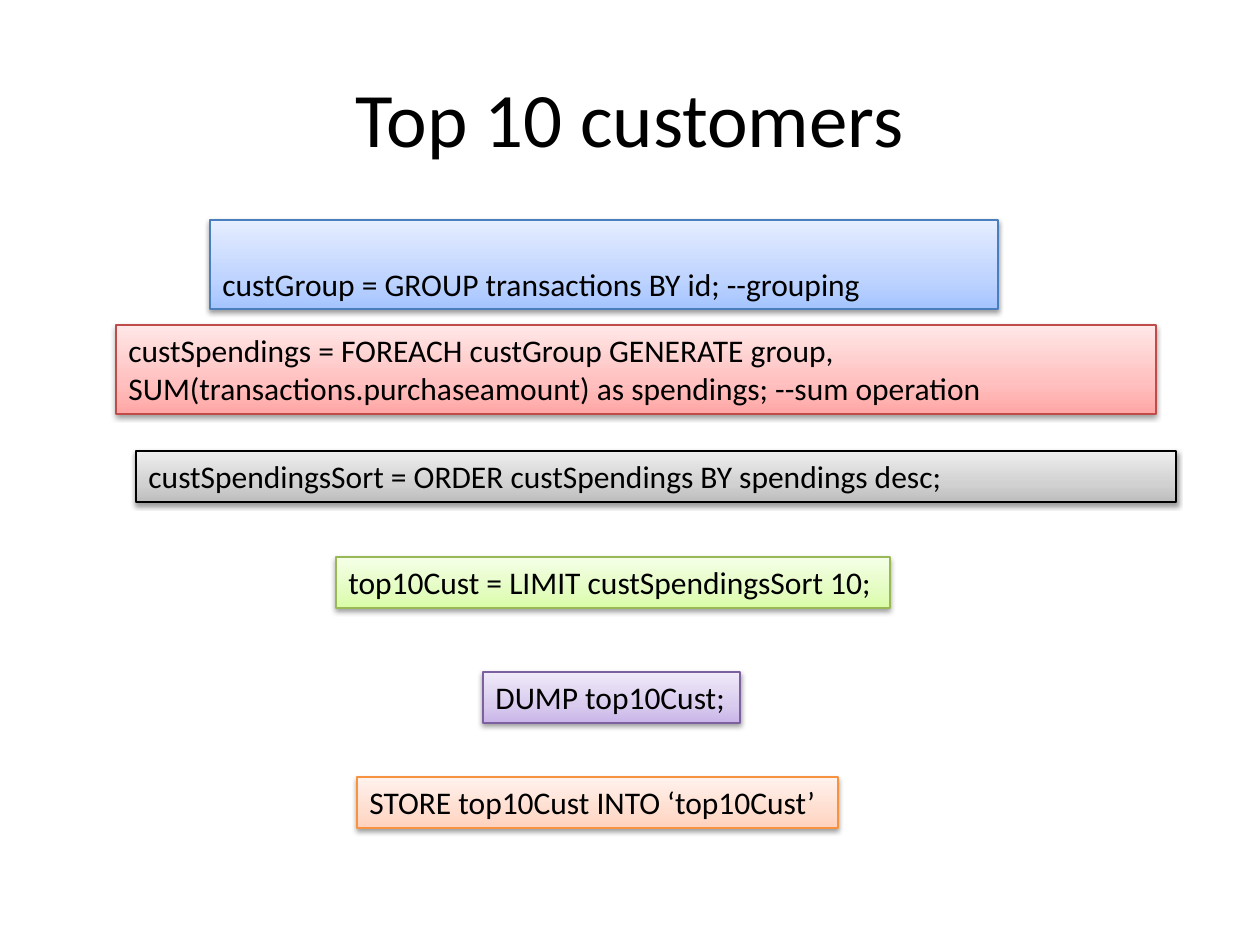
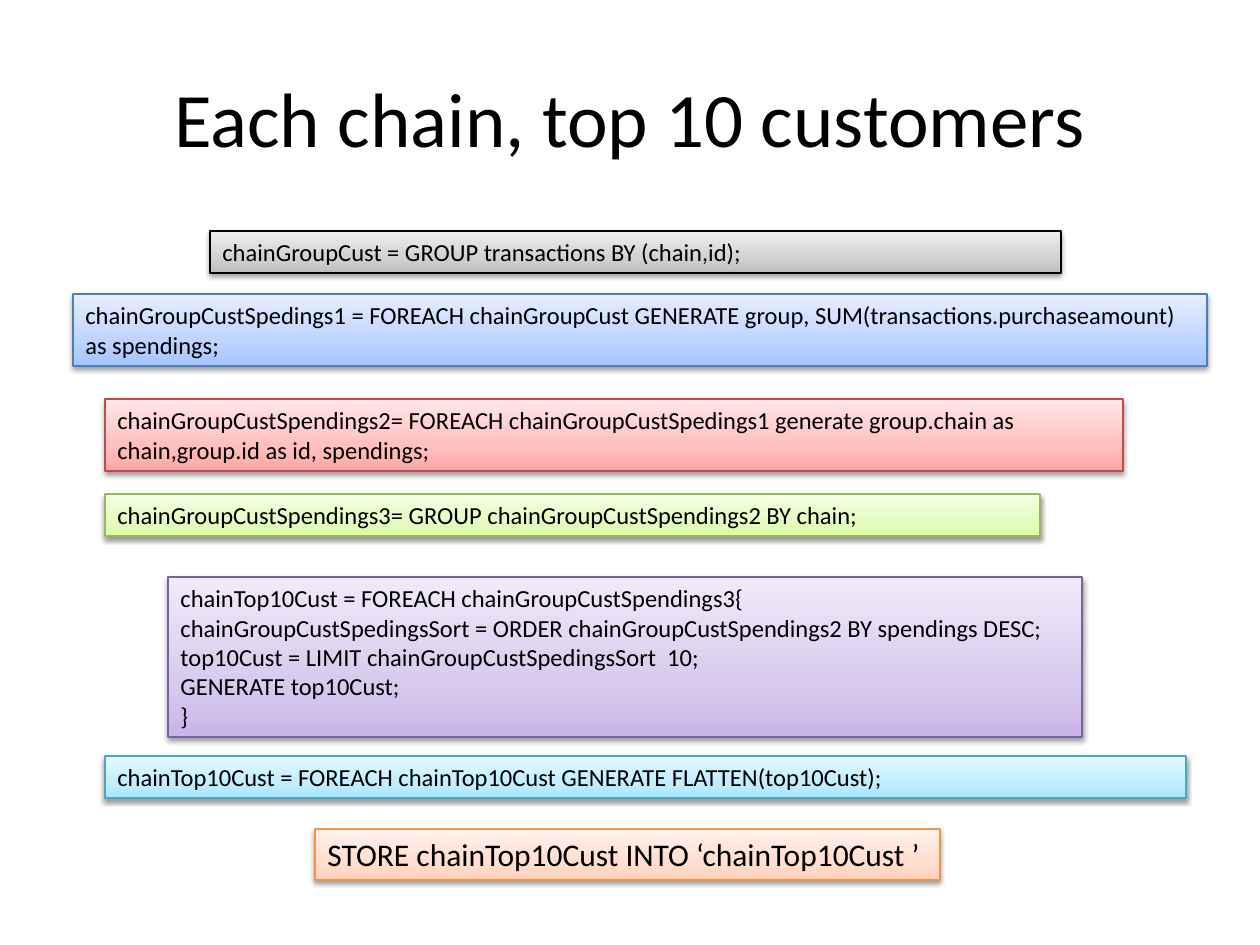
from copy import deepcopy
from typing import NamedTuple

from lxml.etree import SubElement
from pptx import Presentation
from pptx.dml.color import RGBColor
from pptx.enum.shapes import MSO_SHAPE
from pptx.enum.text import MSO_ANCHOR, PP_ALIGN
from pptx.oxml.ns import qn
from pptx.shapes.autoshape import Shape
from pptx.slide import Slide
from pptx.text.text import TextFrame
from pptx.util import Emu, Pt

EMU_PER_INCH = 914400
PX_PER_INCH = 126
SLIDE_WIDTH, SLIDE_HEIGHT = 1260, 945
TITLE_BOX = (63, 38, 1134, 157)
FONT = "Calibri"
TITLE_SIZE = 44
TEXT_MARGINS = 13
LINE_PX_PER_POINT = 2.1
GRADIENT_POSITIONS = (0, 0.35, 1)
COLORS = {
    "text": "000000",
    "blue_line": "4B7EBC",
    "red_line": "BF4C48",
    "gray_line": "000000",
    "green_line": "98B955",
    "purple_line": "7D60A0",
    "cyan_line": "46AAC5",
    "orange_line": "F69240",
    "shadow": "000000",
}
GRADIENTS = {
    "blue": ("A4C4FF", "BFD4FF", "E6EEFF"),
    "red": ("FFA6A5", "FFC0BF", "FFE7E7"),
    "gray": ("BDBDBD", "D1D1D1", "EEEEEE"),
    "green": ("DAFDA7", "E4FCC2", "F5FFE7"),
    "purple": ("C9B5E8", "D8CBEE", "F0EAF9"),
    "cyan": ("A7E6FF", "C1EDFF", "E7F8FF"),
    "orange": ("FFD2BD", "FFDED0", "FFF2ED"),
}


class Statement(NamedTuple):
    hue: str
    left: int
    top: int
    width: int
    code: str
    size: int = 18
    lines: int = 1
    anchor: MSO_ANCHOR = MSO_ANCHOR.TOP


class Query(NamedTuple):
    title: str
    statements: list[Statement]


QUERIES = [
    Query("Top 10 customers", [
        Statement("blue", 210, 220, 788, "custGroup = GROUP transactions BY id; --grouping",
                  lines=2, anchor=MSO_ANCHOR.BOTTOM),
        Statement("red", 116, 325, 1040,
                  "custSpendings = FOREACH custGroup GENERATE group, "
                  "SUM(transactions.purchaseamount) as spendings; --sum operation", lines=2),
        Statement("gray", 136, 451, 1040,
                  "custSpendingsSort = ORDER custSpendings BY spendings desc;"),
        Statement("green", 336, 557, 554, "top10Cust = LIMIT custSpendingsSort 10;"),
        Statement("purple", 483, 672, 257, "DUMP top10Cust;"),
        Statement("orange", 357, 777, 481, "STORE top10Cust INTO ‘top10Cust’"),
    ]),
    Query("Each chain, top 10 customers", [
        Statement("gray", 210, 231, 851,
                  "chainGroupCust = GROUP transactions BY (chain,id);", 14),
        Statement("blue", 73, 294, 1134,
                  "chainGroupCustSpedings1 = FOREACH chainGroupCust GENERATE group, "
                  "SUM(transactions.purchaseamount) as spendings;", 14, 2),
        Statement("red", 105, 399, 1018,
                  "chainGroupCustSpendings2= FOREACH chainGroupCustSpedings1 generate "
                  "group.chain as chain,group.id as id, spendings;", 14, 2),
        Statement("green", 105, 494, 935,
                  "chainGroupCustSpendings3= GROUP chainGroupCustSpendings2 BY chain;", 14),
        Statement("purple", 168, 577, 914,
                  "chainTop10Cust = FOREACH chainGroupCustSpendings3{\n"
                  "chainGroupCustSpedingsSort = ORDER chainGroupCustSpendings2 BY spendings DESC;\n"
                  "top10Cust = LIMIT chainGroupCustSpedingsSort  10;\n"
                  "GENERATE top10Cust;\n"
                  "}", 14, 5),
        Statement("cyan", 105, 756, 1081,
                  "chainTop10Cust = FOREACH chainTop10Cust GENERATE FLATTEN(top10Cust);", 14),
        Statement("orange", 315, 829, 625, "STORE chainTop10Cust INTO ‘chainTop10Cust ’"),
    ]),
]


def px(length: int) -> Emu:
    return Emu(round(length * EMU_PER_INCH / PX_PER_INCH))


def rgb(name: str) -> RGBColor:
    return RGBColor.from_string(COLORS[name])


def write_text(frame: TextFrame, text: str, size: int, align: PP_ALIGN,
               anchor: MSO_ANCHOR) -> None:
    frame.word_wrap = True
    frame.vertical_anchor = anchor
    frame.text = text
    for paragraph in frame.paragraphs:
        paragraph.alignment = align
        paragraph.font.name = FONT
        paragraph.font.size = Pt(size)
        paragraph.font.color.rgb = rgb("text")


def fill_gradient(box: Shape, hue: str) -> None:
    box.fill.gradient()
    box.fill.gradient_angle = 90
    stop_list = next(box._element.spPr.iter(qn("a:gsLst")))
    stop_list.insert(1, deepcopy(stop_list[0]))
    for stop, position, color in zip(box.fill.gradient_stops, GRADIENT_POSITIONS,
                                     GRADIENTS[hue]):
        stop.position = position
        stop.color.rgb = RGBColor.from_string(color)


def cast_shadow(box: Shape) -> None:
    box.shadow.inherit = False
    effects = box._element.spPr.find(qn("a:effectLst"))
    shadow = SubElement(effects, qn("a:outerShdw"), blurRad=str(Pt(3.1)), dist=str(Pt(1.6)),
                        dir="5400000", rotWithShape="0")
    color = SubElement(shadow, qn("a:srgbClr"), val=COLORS["shadow"])
    SubElement(color, qn("a:alpha"), val="38000")


def draw_title(slide: Slide, title: str) -> None:
    heading = slide.shapes.add_textbox(*map(px, TITLE_BOX))
    write_text(heading.text_frame, title, TITLE_SIZE, PP_ALIGN.CENTER, MSO_ANCHOR.MIDDLE)


def draw_statement(slide: Slide, statement: Statement) -> None:
    height = round(TEXT_MARGINS + statement.lines * statement.size * LINE_PX_PER_POINT)
    box = slide.shapes.add_shape(MSO_SHAPE.RECTANGLE, px(statement.left), px(statement.top),
                                 px(statement.width), px(height))
    fill_gradient(box, statement.hue)
    box.line.color.rgb = rgb(f"{statement.hue}_line")
    box.line.width = Pt(0.75)
    cast_shadow(box)
    write_text(box.text_frame, statement.code, statement.size, PP_ALIGN.LEFT, statement.anchor)


def main() -> None:
    deck = Presentation()
    deck.slide_width, deck.slide_height = px(SLIDE_WIDTH), px(SLIDE_HEIGHT)
    blank_layout = deck.slide_layouts[6]
    for query in QUERIES:
        slide = deck.slides.add_slide(blank_layout)
        draw_title(slide, query.title)
        for statement in query.statements:
            draw_statement(slide, statement)
    deck.save("out.pptx")


if __name__ == "__main__":
    main()
